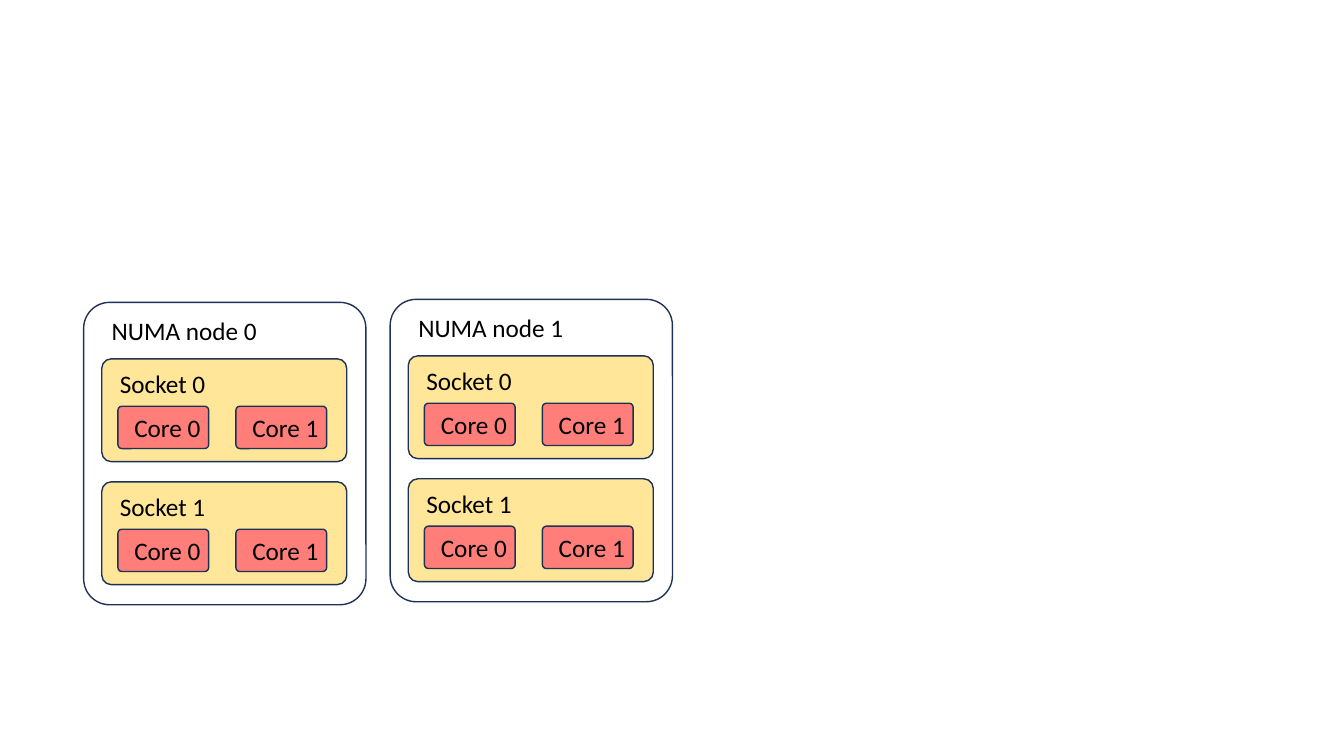
from dataclasses import dataclass
from typing import Optional

from pptx import Presentation
from pptx.dml.color import RGBColor
from pptx.enum import shapes, text
from pptx.util import Inches, Pt

COLORS = {"line": "1E3256", "socket": "FFE699", "core": "FF7E79", "text": "000000"}
FONT = "Calibri"
COUNT = 2


@dataclass(frozen=True)
class Box:
    name: str
    width: float
    height: float
    dx: float
    dy: float
    span: float
    fill: Optional[str] = None
    align: text.PP_ALIGN = text.PP_ALIGN.LEFT


NODE = Box("NUMA node", 2.8, 3, 0.18, 0.08, 2.15)
SOCKET = Box("Socket", 2.43, 1.02, 0.08, 0.05, 1.22, "socket")
CORE = Box("Core", 0.9, 0.42, -0.02, 0.01, 1.02, "core", text.PP_ALIGN.CENTER)


def color(key: str) -> RGBColor:
    return RGBColor.from_string(COLORS[key])


def draw(slide, box: Box, index: int, left: float, top: float) -> None:
    shape = slide.shapes.add_shape(
        shapes.MSO_SHAPE.ROUNDED_RECTANGLE,
        Inches(left), Inches(top), Inches(box.width), Inches(box.height),
    )
    shape.shadow.inherit = False
    shape.adjustments[0] = 0.092
    shape.line.color.rgb = color("line")
    shape.line.width = Pt(1)
    if box.fill:
        shape.fill.solid()
        shape.fill.fore_color.rgb = color(box.fill)
    else:
        shape.fill.background()

    label = slide.shapes.add_textbox(
        Inches(left + box.dx), Inches(top + box.dy), Inches(box.span), Inches(0.4)
    )
    frame = label.text_frame
    frame.word_wrap = True
    frame.auto_size = text.MSO_AUTO_SIZE.SHAPE_TO_FIT_TEXT
    para = frame.paragraphs[0]
    para.alignment = box.align
    run = para.add_run()
    run.text = f"{box.name} {index}"
    run.font.name = FONT
    run.font.size = Pt(18)
    run.font.color.rgb = color("text")


def draw_socket(slide, index: int, left: float, top: float) -> None:
    draw(slide, SOCKET, index, left, top)
    for core in range(COUNT):
        draw(slide, CORE, core, left + 0.16 + 1.17 * core, top + 0.47)


def draw_node(slide, index: int, left: float, top: float) -> None:
    draw(slide, NODE, index, left, top)
    for socket in range(COUNT):
        draw_socket(slide, socket, left + 0.18, top + 0.56 + 1.22 * socket)


def main() -> None:
    deck = Presentation()
    deck.slide_width = Inches(13.33)
    deck.slide_height = Inches(7.5)
    slide = deck.slides.add_slide(deck.slide_layouts[6])
    for node in range(COUNT):
        draw_node(slide, node, 0.83 + 3.04 * node, 3 - 0.03 * node)
    deck.save("out.pptx")


main()
